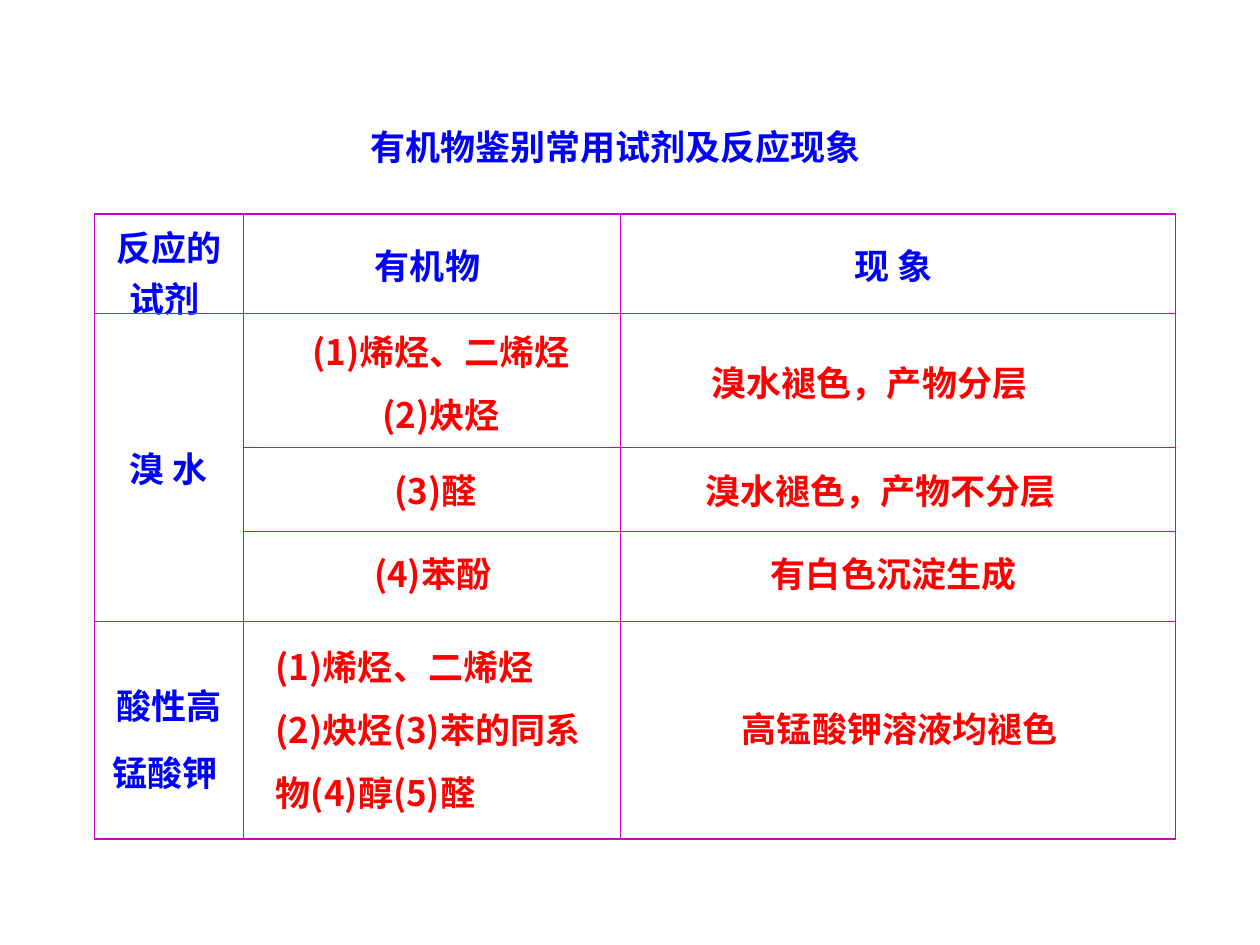
from lxml.etree import SubElement
from pptx import Presentation
from pptx.dml.color import RGBColor
from pptx.enum.text import MSO_ANCHOR, MSO_AUTO_SIZE, PP_ALIGN
from pptx.oxml import parse_xml
from pptx.oxml.ns import nsdecls, qn
from pptx.util import Inches, Pt

COLORS = {"label": "0000FF", "answer": "FF0000", "grid": "CC00CC"}
CJK_FONT = "Noto Sans CJK SC"


def write(frame, text, color="answer", font=CJK_FONT, align=PP_ALIGN.LEFT,
          line_spacing=None, space_before=None):
    frame.word_wrap = True
    for i, line in enumerate(text.split("\n")):
        paragraph = frame.add_paragraph() if i else frame.paragraphs[0]
        paragraph.alignment = align
        paragraph.line_spacing = line_spacing
        paragraph.space_before = space_before
        run = paragraph.add_run()
        run.text = line
        run.font.size = Pt(20)
        run.font.bold = True
        run.font.name = font
        run.font.color.rgb = RGBColor.from_string(COLORS[color])
        SubElement(run.font._element, qn("a:ea"), typeface=CJK_FONT)


def add_text(slide, left, top, width, height, text, **formatting):
    box = slide.shapes.add_textbox(Inches(left), Inches(top), Inches(width), Inches(height))
    write(box.text_frame, text, **formatting)
    box.text_frame.auto_size = MSO_AUTO_SIZE.SHAPE_TO_FIT_TEXT


presentation = Presentation()
presentation.slide_width = Inches(10)
presentation.slide_height = Inches(7.5)
slide = presentation.slides.add_slide(presentation.slide_layouts[6])

# Title
add_text(slide, 1.93, 0.95, 5.91, 0.44, "有机物鉴别常用试剂及反应现象",
         color="label", font="Arial", align=PP_ALIGN.CENTER)

# Reagent table
column_widths = [1.18, 2.99, 4.41]
row_heights = [0.79, 1.06, 0.67, 0.71, 1.73]
last_row, last_column = len(row_heights) - 1, len(column_widths) - 1
reagents = slide.shapes.add_table(
    len(row_heights), len(column_widths), Inches(0.75), Inches(1.7),
    Inches(sum(column_widths)), Inches(sum(row_heights))).table
reagents.first_row = reagents.horz_banding = False
for column, width in zip(reagents.columns, column_widths):
    column.width = Inches(width)
for row, height in zip(reagents.rows, row_heights):
    row.height = Inches(height)

# Grid lines: thicker around the outside
for r in range(last_row + 1):
    for c in range(last_column + 1):
        cell = reagents.cell(r, c)
        cell.fill.background()
        cell.vertical_anchor = MSO_ANCHOR.MIDDLE
        outer_sides = {"L": c == 0, "R": c == last_column, "T": r == 0, "B": r == last_row}
        for position, (side, is_outer) in enumerate(outer_sides.items()):
            line_width = Pt(1.08 if is_outer else 0.45)
            cell._tc.get_or_add_tcPr().insert(position, parse_xml(
                f'<a:ln{side} {nsdecls("a")} w="{line_width}"><a:solidFill>'
                f'<a:srgbClr val="{COLORS["grid"]}"/></a:solidFill></a:ln{side}>'))
reagents.cell(1, 0).merge(reagents.cell(3, 0))

# Headings and reagent names
labels = [
    (0, 0, "反应的试剂 ", None, 5),
    (0, 1, "有机物 ", None, 5),
    (0, 2, "现 象 ", None, 5),
    (1, 0, "溴 水", None, 5),
    (4, 0, "酸性高锰酸钾 ", Pt(38), 7),
]
for r, c, label, spacing, before in labels:
    write(reagents.cell(r, c).text_frame, label, color="label", font="Times New Roman",
          align=PP_ALIGN.CENTER, line_spacing=spacing, space_before=Pt(before))

# Compounds and phenomena laid over the table
add_text(slide, 2.24, 2.41, 2.52, 1.1, "(1)烯烃、二烯烃\n(2)炔烃",
         align=PP_ALIGN.CENTER, line_spacing=1.5)
answers = [
    (5.55, 2.65, 2.91, 0.6, "溴水褪色，产物分层"),
    (3.03, 3.51, 1.57, 0.6, "(3)醛"),
    (2.87, 4.17, 1.42, 0.6, "(4)苯酚"),
    (5.5, 3.51, 3.75, 0.6, "溴水褪色，产物不分层"),
    (6.02, 4.17, 2.99, 0.6, "有白色沉淀生成"),
    (2.09, 4.91, 2.76, 1.6, "(1)烯烃、二烯烃\n(2)炔烃(3)苯的同系物(4)醇(5)醛"),
    (5.79, 5.4, 2.99, 0.6, "高锰酸钾溶液均褪色"),
]
for left, top, width, height, answer in answers:
    add_text(slide, left, top, width, height, answer, line_spacing=1.5)

presentation.save("out.pptx")
